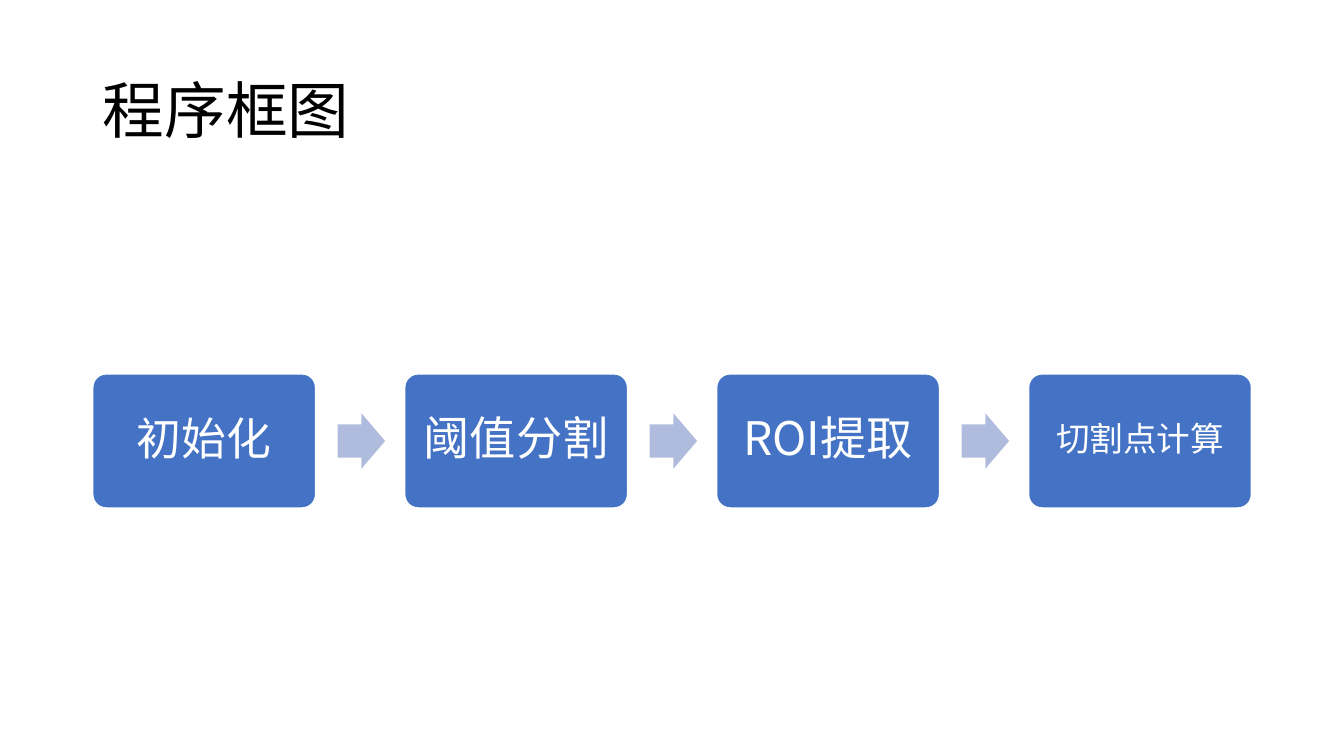
from dataclasses import dataclass

import lxml.etree
import pptx
import pptx.dml.color
import pptx.enum.shapes
import pptx.enum.text
import pptx.oxml.ns
import pptx.util

Inches = pptx.util.Inches
RGBColor = pptx.dml.color.RGBColor
MSO_SHAPE = pptx.enum.shapes.MSO_SHAPE
PP_ALIGN = pptx.enum.text.PP_ALIGN

FONT = "Noto Sans CJK SC"
BLACK = RGBColor(0x00, 0x00, 0x00)
WHITE = RGBColor(0xFF, 0xFF, 0xFF)
BLUE = RGBColor(0x44, 0x72, 0xC4)
PALE_BLUE = RGBColor(0xB0, 0xBC, 0xDE)

LEFT = 0.92
PITCH = 3.094
STEP_TOP, STEP_W, STEP_H = 3.71, 2.21, 1.33
ARROW_OFFSET, ARROW_W, ARROW_H = 2.43, 0.47, 0.55


@dataclass
class Step:
    label: str
    size: int
    inset: float


STEPS = [
    Step("初始化", 32, 0.13),
    Step("阈值分割", 33, 0.14),
    Step("ROI提取", 33, 0.14),
    Step("切割点计算", 24, 0.1),
]


def set_text(sp, text: str, size: int, color: RGBColor, align: PP_ALIGN) -> None:
    tf = sp.text_frame
    tf.text = text
    tf.word_wrap = True
    tf.vertical_anchor = pptx.enum.text.MSO_ANCHOR.MIDDLE
    p = tf.paragraphs[0]
    p.alignment = align
    p.line_spacing = 0.9
    r = p.runs[0]
    r.font.size = pptx.util.Pt(size)
    r.font.color.rgb = color
    r.font.name = FONT
    ea = lxml.etree.SubElement(r._r.get_or_add_rPr(), pptx.oxml.ns.qn("a:ea"))
    ea.set("typeface", FONT)


def add_step(s, step: Step, x: float) -> None:
    sp = s.shapes.add_shape(MSO_SHAPE.ROUNDED_RECTANGLE, Inches(x), Inches(STEP_TOP),
                            Inches(STEP_W), Inches(STEP_H))
    sp.adjustments[0] = 0.1
    sp.shadow.inherit = False
    sp.fill.solid()
    sp.fill.fore_color.rgb = BLUE
    sp.line.color.rgb = WHITE
    sp.line.width = pptx.util.Pt(1)
    tf = sp.text_frame
    tf.margin_left = tf.margin_right = Inches(step.inset)
    tf.margin_top = tf.margin_bottom = Inches(step.inset)
    set_text(sp, step.label, step.size, WHITE, PP_ALIGN.CENTER)


def add_arrow(s, x: float) -> None:
    top = STEP_TOP + (STEP_H - ARROW_H) / 2
    sp = s.shapes.add_shape(MSO_SHAPE.RIGHT_ARROW, Inches(x), Inches(top),
                            Inches(ARROW_W), Inches(ARROW_H))
    sp.adjustments[0] = 0.6
    sp.adjustments[1] = 0.5
    sp.shadow.inherit = False
    sp.fill.solid()
    sp.fill.fore_color.rgb = PALE_BLUE
    sp.line.fill.background()


def main() -> None:
    prs = pptx.Presentation()
    prs.slide_width, prs.slide_height = Inches(13.33), Inches(7.5)
    s = prs.slides.add_slide(prs.slide_layouts[5])

    title = s.shapes.title
    title.left, title.top = Inches(LEFT), Inches(0.4)
    title.width, title.height = Inches(11.5), Inches(1.45)
    set_text(title, "程序框图", 44, BLACK, PP_ALIGN.LEFT)

    for i, step in enumerate(STEPS):
        x = LEFT + i * PITCH
        add_step(s, step, x)
        if i < len(STEPS) - 1:
            add_arrow(s, x + ARROW_OFFSET)

    prs.save("out.pptx")


if __name__ == "__main__":
    main()
